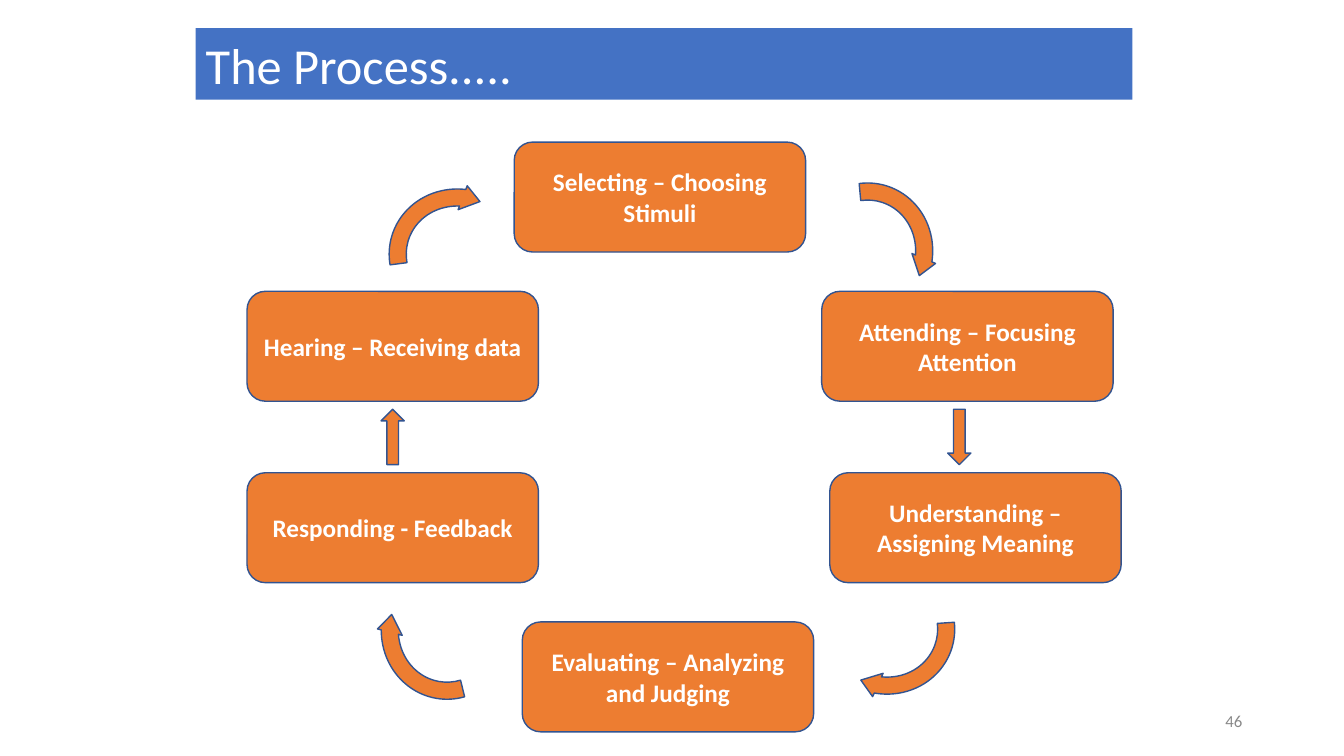
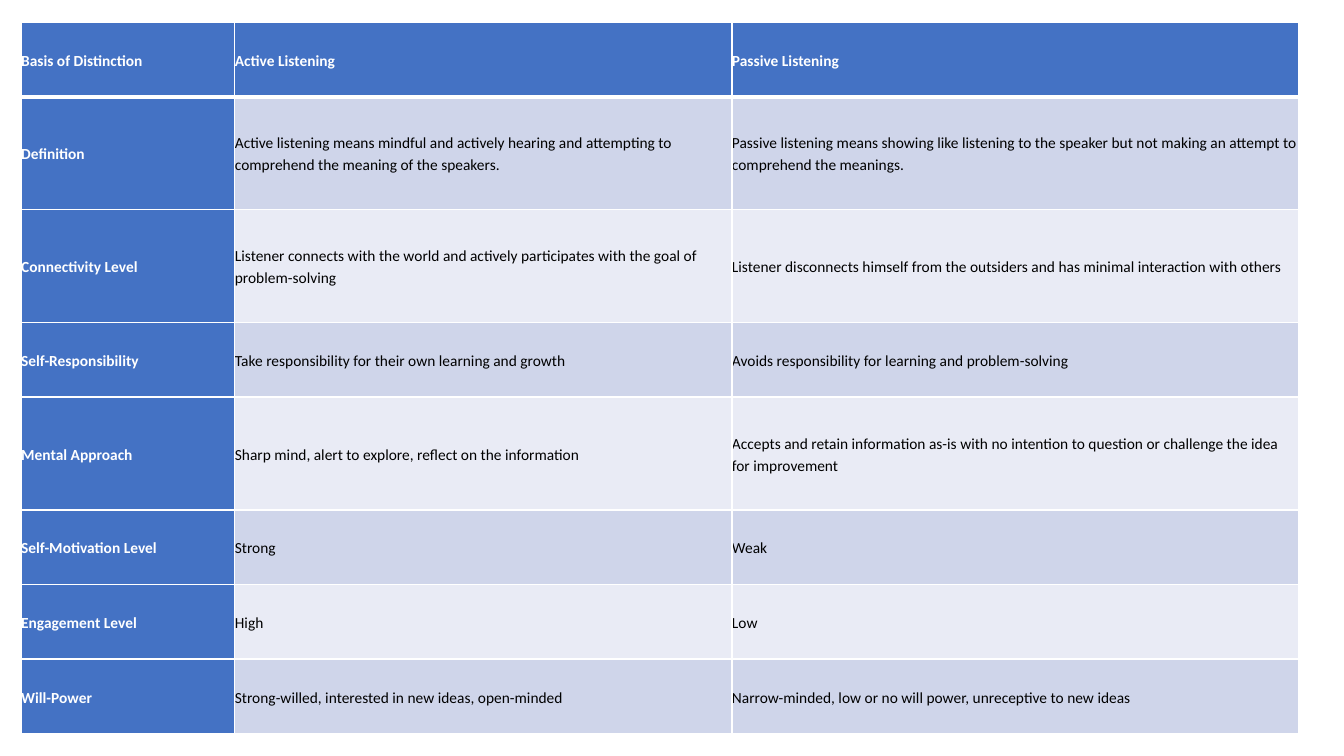
from lxml import etree
from pptx import Presentation
from pptx.dml.color import RGBColor
from pptx.enum.shapes import MSO_SHAPE
from pptx.enum.text import MSO_ANCHOR, MSO_AUTO_SIZE, PP_ALIGN
from pptx.oxml.ns import qn
from pptx.util import Inches, Pt

ROUNDED_BOX = MSO_SHAPE.ROUNDED_RECTANGLE
CURVED_ARROW = MSO_SHAPE.CIRCULAR_ARROW
DOWN_ARROW = MSO_SHAPE.DOWN_ARROW
UP_ARROW = MSO_SHAPE.UP_ARROW
MIDDLE = MSO_ANCHOR.MIDDLE
NO_AUTO_SIZE = MSO_AUTO_SIZE.NONE
LEFT, CENTER, RIGHT = PP_ALIGN.LEFT, PP_ALIGN.CENTER, PP_ALIGN.RIGHT

BLUE = RGBColor(0x44, 0x72, 0xC4)
DARK_BLUE = RGBColor(0x32, 0x54, 0x91)
ORANGE = RGBColor(0xED, 0x7D, 0x31)
GRAY = RGBColor(0x89, 0x89, 0x89)
WHITE = RGBColor(0xFF, 0xFF, 0xFF)
BLACK = RGBColor(0x00, 0x00, 0x00)
BAND_COLORS = (RGBColor(0xCF, 0xD5, 0xEA), RGBColor(0xE9, 0xEB, 0xF5))
FONT = "Calibri"

TITLE_ONLY_LAYOUT = 5
BLANK_LAYOUT = 6

STEP_SIZE = (2.89, 1.09)
STEPS = [
    ("Selecting – Choosing Stimuli", 2.65, 0),
    ("Attending – Focusing Attention", 5.7, 1.48),
    ("Understanding – Assigning Meaning", 5.78, 3.28),
    ("Evaluating – Analyzing and Judging", 2.73, 4.76),
    ("Responding - Feedback", 0, 3.28),
    ("Hearing – Receiving data", 0, 1.48),
]
CURVED_SIZE = (1.41, 1.48)
CURVED_ADJUSTMENTS = (0.12, 10.48, 208.24, 147.88, 0.09)
CURVED_ARROWS = [
    (5.43, 0.36, 18.3),
    (5.62, 4.07, 109.7),
    (1.29, 4.09, 189.9),
    (1.4, 0.39, 286.3),
]
STRAIGHT_SIZE = (0.23, 0.55)
STRAIGHT_ARROWS = [(DOWN_ARROW, 6.95, 2.65), (UP_ARROW, 1.33, 2.65)]

COLUMN_WIDTHS = (2.12, 4.93, 5.62)
SHORT_ROW, TALL_ROW = 0.74, 1.12
TABLE_ROWS = [
    (SHORT_ROW, "Basis of Distinction", "Active Listening", "Passive Listening"),
    (TALL_ROW, "Definition",
     "Active listening means mindful and actively hearing and attempting to "
     "comprehend the meaning of the speakers.",
     "Passive listening means showing like listening to the speaker but not "
     "making an attempt to comprehend the meanings."),
    (TALL_ROW, "Connectivity Level",
     "Listener connects with the world and actively participates with the "
     "goal of problem-solving",
     "Listener disconnects himself from the outsiders and has minimal "
     "interaction with others"),
    (SHORT_ROW, "Self-Responsibility",
     "Take responsibility for their own learning and growth",
     "Avoids responsibility for learning and problem-solving"),
    (TALL_ROW, "Mental Approach",
     "Sharp mind, alert to explore, reflect on the information",
     "Accepts and retain information as-is with no intention to question or "
     "challenge the idea for improvement"),
    (SHORT_ROW, "Self-Motivation Level", "Strong", "Weak"),
    (SHORT_ROW, "Engagement Level", "High", "Low"),
    (SHORT_ROW, "Will-Power",
     "Strong-willed, interested in new ideas, open-minded",
     "Narrow-minded, low or no will power, unreceptive to new ideas"),
]


def write_text(frame, text, size, color, bold=False, align=LEFT,
               line_spacing=None, space_after=None):
    frame.word_wrap = True
    frame.vertical_anchor = MIDDLE
    paragraph = frame.paragraphs[0]
    paragraph.alignment = align
    paragraph.line_spacing = line_spacing
    if space_after is not None:
        paragraph.space_after = Pt(space_after)
    run = paragraph.add_run()
    run.text = text
    run.font.name = FONT
    run.font.size = Pt(size)
    run.font.bold = bold
    run.font.color.rgb = color


def add_title(slide, text, left, top, width, height):
    title = slide.shapes.title
    title.left, title.top = Inches(left), Inches(top)
    title.width, title.height = Inches(width), Inches(height)
    title.fill.solid()
    title.fill.fore_color.rgb = BLUE
    title.text_frame.auto_size = NO_AUTO_SIZE
    write_text(title.text_frame, text, size=36, color=WHITE)


def add_page_number(slide, number, left, top, width, height):
    box = slide.shapes.add_textbox(
        Inches(left), Inches(top), Inches(width), Inches(height))
    write_text(box.text_frame, number, size=12, color=GRAY, align=RIGHT)


def add_orange_shape(slide, kind, left, top, size):
    shape = slide.shapes.add_shape(
        kind, Inches(left), Inches(top), *map(Inches, size))
    shape.shadow.inherit = False
    shape.fill.solid()
    shape.fill.fore_color.rgb = ORANGE
    shape.line.color.rgb = DARK_BLUE
    shape.line.width = Pt(1)
    return shape


def add_cycle(slide, left, top):
    for text, across, down in STEPS:
        step = add_orange_shape(slide, ROUNDED_BOX, left + across, top + down, STEP_SIZE)
        write_text(step.text_frame, text, size=18, color=WHITE, bold=True, align=CENTER)
    for across, down, rotation in CURVED_ARROWS:
        arrow = add_orange_shape(slide, CURVED_ARROW, left + across, top + down, CURVED_SIZE)
        arrow.rotation = rotation
        for index, value in enumerate(CURVED_ADJUSTMENTS):
            arrow.adjustments[index] = value
    for kind, across, down in STRAIGHT_ARROWS:
        add_orange_shape(slide, kind, left + across, top + down, STRAIGHT_SIZE)


def set_border(cell, side, color, points):
    properties = cell._tc.get_or_add_tcPr()
    line = etree.SubElement(properties, qn(f"a:ln{side}"), w=str(Pt(points)))
    fill = etree.SubElement(line, qn("a:solidFill"))
    etree.SubElement(fill, qn("a:srgbClr"), val=str(color))


def format_cell(cell, text, row_index, column_index):
    is_header = row_index == 0 or column_index == 0
    thick_side = {0: "B", 1: "T"}.get(row_index)
    for side in "LRTB":
        set_border(cell, side, WHITE, 3 if side == thick_side else 1)
    cell.fill.solid()
    cell.fill.fore_color.rgb = BLUE if is_header else BAND_COLORS[(row_index - 1) % 2]
    cell.margin_left = cell.margin_right = 0
    cell.margin_top = cell.margin_bottom = 0
    write_text(cell.text_frame, text, size=11, color=WHITE if is_header else BLACK,
               bold=is_header, line_spacing=1.15, space_after=10)
    cell.vertical_anchor = MIDDLE


def add_comparison_table(slide, left, top):
    height = sum(row[0] for row in TABLE_ROWS)
    table = slide.shapes.add_table(
        len(TABLE_ROWS), len(COLUMN_WIDTHS), Inches(left), Inches(top),
        Inches(sum(COLUMN_WIDTHS)), Inches(height)).table
    for column, width in zip(table.columns, COLUMN_WIDTHS):
        column.width = Inches(width)
    for row_index, (row_height, *texts) in enumerate(TABLE_ROWS):
        table.rows[row_index].height = Inches(row_height)
        for column_index, text in enumerate(texts):
            format_cell(table.cell(row_index, column_index), text, row_index, column_index)


def build_process_slide(presentation):
    slide = presentation.slides.add_slide(presentation.slide_layouts[TITLE_ONLY_LAYOUT])
    add_title(slide, "The Process.....", 1.94, 0.28, 9.29, 0.71)
    add_page_number(slide, "46", 9.42, 6.95, 3, 0.4)
    add_cycle(slide, 2.45, 1.41)


def build_comparison_slide(presentation):
    slide = presentation.slides.add_slide(presentation.slide_layouts[BLANK_LAYOUT])
    add_comparison_table(slide, 0.21, 0.22)


def main():
    presentation = Presentation()
    presentation.slide_width = Inches(13.33)
    presentation.slide_height = Inches(7.5)
    build_process_slide(presentation)
    build_comparison_slide(presentation)
    presentation.save("out.pptx")


main()
